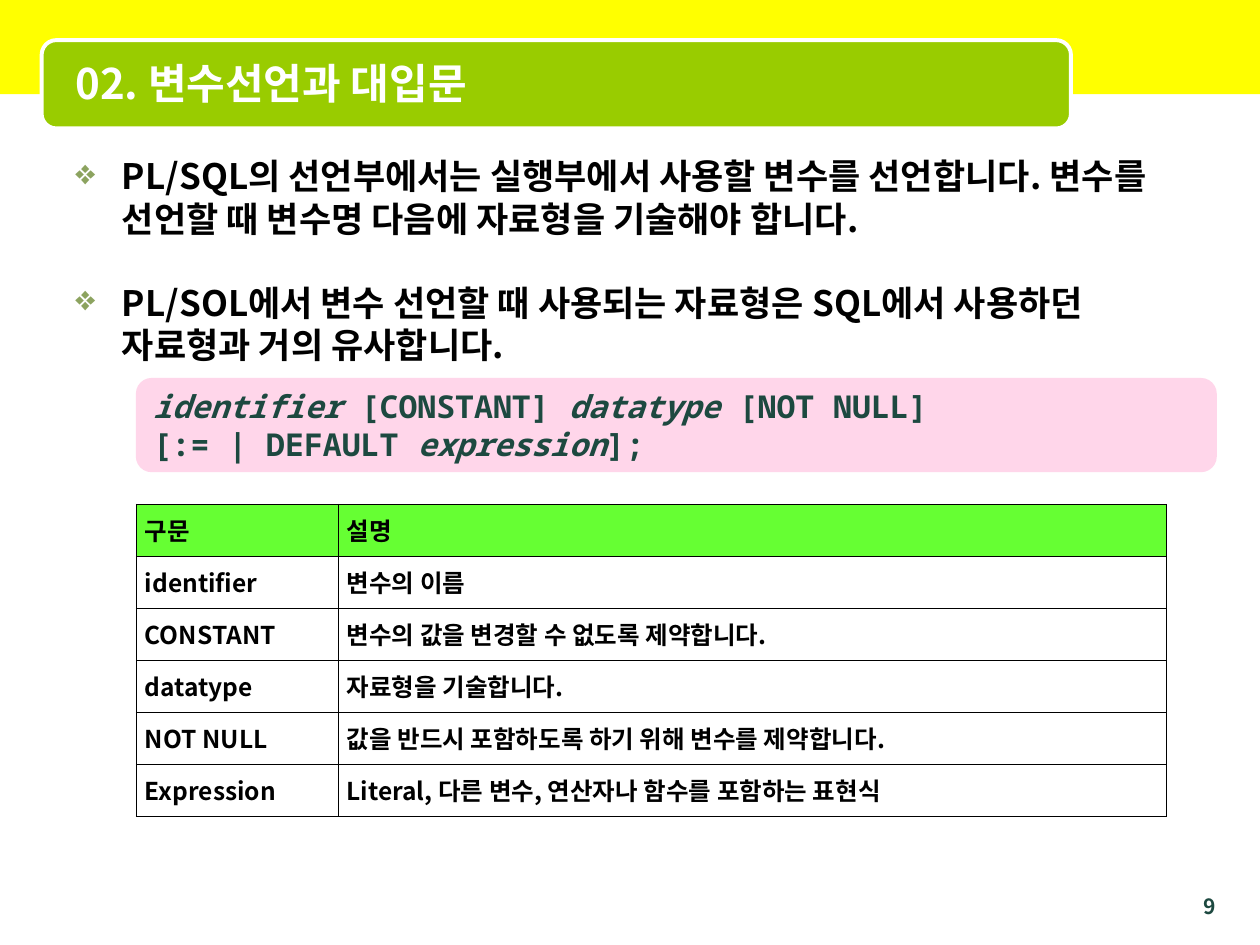
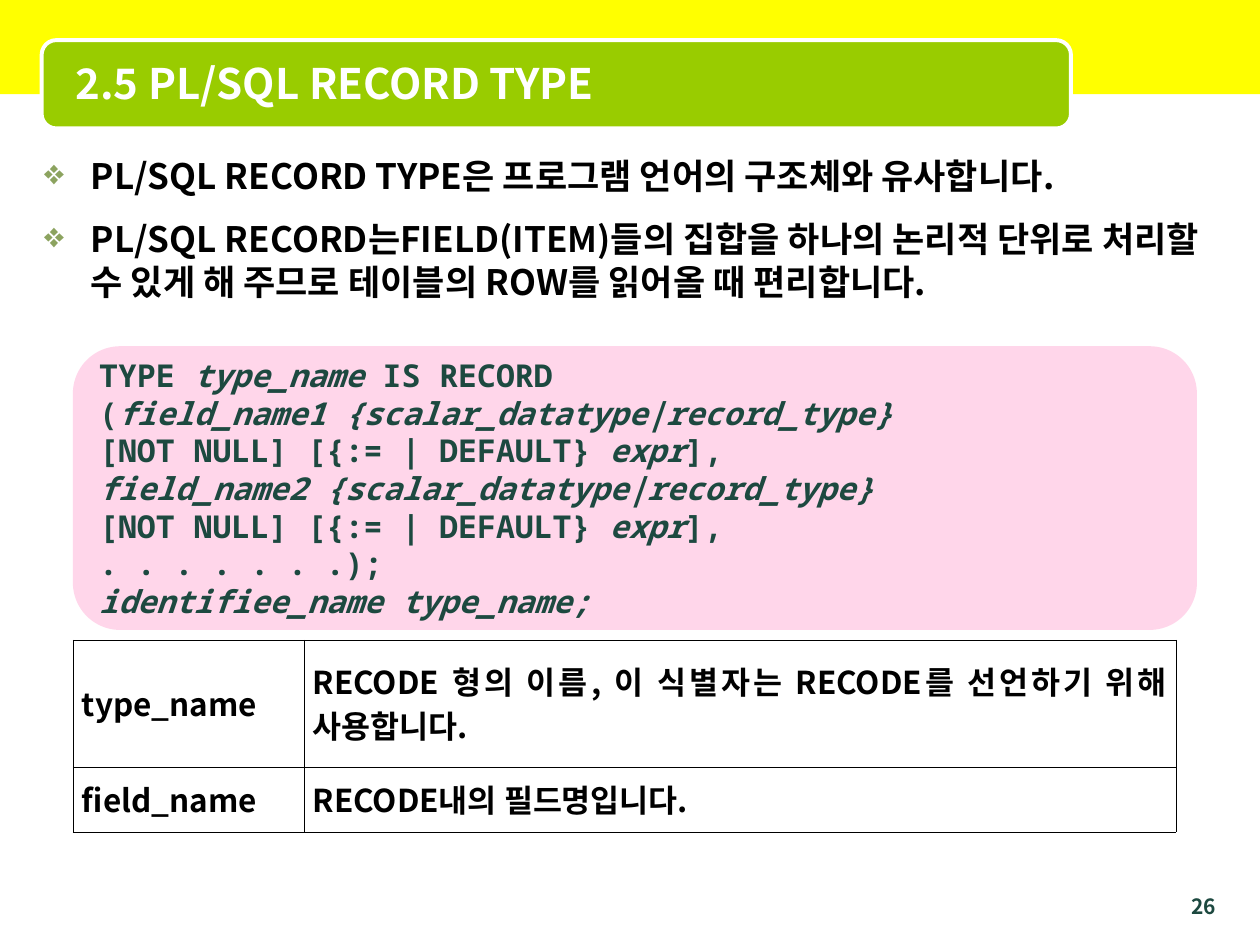
from lxml import etree
from pptx import Presentation
from pptx.dml.color import RGBColor
from pptx.enum.shapes import MSO_SHAPE
from pptx.enum.text import MSO_ANCHOR, PP_ALIGN
from pptx.oxml.ns import qn
from pptx.util import Cm, Pt

RECT, ROUND = MSO_SHAPE.RECTANGLE, MSO_SHAPE.ROUNDED_RECTANGLE
TOP, MIDDLE = MSO_ANCHOR.TOP, MSO_ANCHOR.MIDDLE
LEFT, RIGHT, JUSTIFY = PP_ALIGN.LEFT, PP_ALIGN.RIGHT, PP_ALIGN.JUSTIFY

SANS, MONO = "Noto Sans CJK KR", "Noto Sans Mono"
COLORS = {
    "band": "FFFF00",
    "panel": "99CC00",
    "white": "FFFFFF",
    "black": "000000",
    "dark": "1D4940",
    "bullet": "8CA35F",
    "code": "FF99CC",
    "header": "66FF33",
}


def rgb(name):
    return RGBColor.from_string(COLORS[name])


def add_run(p, text, size, color, font=SANS, italic=False):
    r = p.add_run()
    r.text = text
    r.font.size, r.font.name = Pt(size), font
    r.font.bold, r.font.italic = True, italic
    r.font.color.rgb = rgb(color)
    # Korean text takes its face from the East Asian font
    r.font._element.find(qn("a:latin")).addnext(
        etree.Element(qn("a:ea"), typeface=font))


def add_box(s, kind, x, y, w, h, fill, line=None):
    sp = s.shapes.add_shape(kind, Cm(x), Cm(y), Cm(w), Cm(h))
    sp.shadow.inherit = False
    sp.fill.solid()
    sp.fill.fore_color.rgb = rgb(fill)
    if line:
        sp.line.color.rgb = rgb(line)
        sp.line.width = Pt(2.25)
    else:
        sp.line.fill.background()
    return sp


def add_text(s, x, y, w, h, anchor=TOP):
    tf = s.shapes.add_textbox(Cm(x), Cm(y), Cm(w), Cm(h)).text_frame
    tf.word_wrap = True
    tf.vertical_anchor = anchor
    return tf


def paragraphs(tf, items):
    """Pair each item with a paragraph, starting with the one present."""
    for i, item in enumerate(items):
        yield (tf.add_paragraph() if i else tf.paragraphs[0]), item


def add_frame(prs, title, number):
    """Add a slide with the band, title panel, page number and title."""
    s = prs.slides.add_slide(prs.slide_layouts[6])
    add_box(s, RECT, 0, 0, 25.4, 1.9, "band")
    add_box(s, ROUND, 0.84, 0.81, 20.75, 1.78, "panel", "white")

    p = add_text(s, 23.5, 17.88, 1.27, 0.53).paragraphs[0]
    p.alignment = RIGHT
    add_run(p, str(number), 12, "dark")

    p = add_text(s, 1.27, 0.89, 20.12, 1.57, MIDDLE).paragraphs[0]
    add_run(p, title, 24, "white")
    return s


def add_bullets(s, x, w, gap, lines):
    tf = add_text(s, x, 3, w, 15.6)
    for p, line in paragraphs(tf, lines):
        p.space_before, p.line_spacing = Pt(gap), Pt(24)
        pPr = p._p.get_or_add_pPr()
        pPr.set("marL", str(Cm(0.94)))
        pPr.set("indent", str(-Cm(0.94)))
        color = etree.SubElement(pPr, qn("a:buClr"))
        etree.SubElement(color, qn("a:srgbClr"), val=COLORS["bullet"])
        etree.SubElement(pPr, qn("a:buChar"), char="❖")
        add_run(p, line, 20, "black")


def add_code(s, x, y, w, h, lines):
    """Add a syntax box; words between asterisks are italic."""
    sp = add_box(s, ROUND, x, y, w, h, "code")
    clr = sp._element.spPr.find(qn("a:solidFill")).find(qn("a:srgbClr"))
    etree.SubElement(clr, qn("a:alpha"), val="40000")
    tf = sp.text_frame
    tf.word_wrap = True
    tf.vertical_anchor = MIDDLE
    for p, line in paragraphs(tf, lines):
        p.alignment, p.line_spacing = LEFT, Pt(21.5)
        for i, part in enumerate(line.split("*")):
            if part:
                add_run(p, part, 18, "dark", MONO, italic=i % 2 == 1)


def set_borders(cell):
    tcPr = cell._tc.get_or_add_tcPr()
    for i, side in enumerate(("lnL", "lnR", "lnT", "lnB")):
        ln = etree.Element(qn("a:" + side), w=str(Pt(0.11)))
        fill = etree.SubElement(ln, qn("a:solidFill"))
        etree.SubElement(fill, qn("a:srgbClr"), val=COLORS["black"])
        tcPr.insert(i, ln)


def add_grid(s, x, y, widths, heights, rows, size, header=False):
    table = s.shapes.add_table(len(rows), len(widths), Cm(x), Cm(y),
                               Cm(sum(widths)), Cm(sum(heights))).table
    table.first_row = table.horz_banding = False
    for column, w in zip(table.columns, widths):
        column.width = Cm(w)
    for i, (row, h) in enumerate(zip(rows, heights)):
        table.rows[i].height = Cm(h)
        for j, text in enumerate(row):
            cell = table.cell(i, j)
            cell.vertical_anchor = MIDDLE
            cell.margin_left = cell.margin_right = Cm(0.18)
            if header and i == 0:
                cell.fill.solid()
                cell.fill.fore_color.rgb = rgb("header")
            else:
                cell.fill.background()
            set_borders(cell)
            p = cell.text_frame.paragraphs[0]
            p.alignment, p.line_spacing = JUSTIFY, 0.96
            add_run(p, text, size, "black")


def variables_slide(prs):
    s = add_frame(prs, "02. 변수선언과 대입문", 9)
    add_bullets(s, 1.27, 22.86, 24, [
        "PL/SQL의 선언부에서는 실행부에서 사용할 변수를 선언합니다. "
        "변수를 선언할 때 변수명 다음에 자료형을 기술해야 합니다.",
        "PL/SOL에서 변수 선언할 때 사용되는 자료형은 SQL에서 사용하던 "
        "자료형과 거의 유사합니다.",
    ])
    add_code(s, 2.74, 7.62, 21.79, 1.9, [
        "*identifier *[CONSTANT] *datatype *[NOT NULL]",
        "[:= | DEFAULT *expression*];",
    ])
    rows = [
        ("구문", "설명"),
        ("identifier", "변수의 이름"),
        ("CONSTANT", "변수의 값을 변경할 수 없도록 제약합니다."),
        ("datatype", "자료형을 기술합니다."),
        ("NOT NULL", "값을 반드시 포함하도록 하기 위해 변수를 제약합니다."),
        ("Expression", "Literal, 다른 변수, 연산자나 함수를 포함하는 표현식"),
    ]
    add_grid(s, 2.74, 10.16, [4.07, 16.69], [1.05] * len(rows), rows, 14,
             header=True)


def record_slide(prs):
    s = add_frame(prs, "2.5 PL/SQL RECORD TYPE", 26)
    add_bullets(s, 0.64, 23.93, 12, [
        "PL/SQL RECORD TYPE은 프로그램 언어의 구조체와 유사합니다.",
        "PL/SQL RECORD는FIELD(ITEM)들의 집합을 하나의 논리적 단위로 "
        "처리할 수 있게 해 주므로 테이블의 ROW를 읽어올 때 편리합니다.",
    ])
    field_types = "{scalar_datatype|record_type}*"
    default = "[NOT NULL] [{:= | DEFAULT} *expr*],"
    add_code(s, 1.47, 6.98, 22.66, 5.72, [
        "TYPE *type_name* IS RECORD",
        "(*field_name1 " + field_types,
        default,
        "*field_name2 " + field_types,
        default,
        ". . . . . . .);",
        "*identifiee_name type_name;*",
    ])
    add_grid(s, 1.47, 12.9, [4.65, 17.58], [2.56, 1.31], [
        ("type_name",
         "RECODE 형의 이름, 이 식별자는 RECODE를 선언하기 위해 사용합니다."),
        ("field_name", "RECODE내의 필드명입니다."),
    ], 18)


def main():
    prs = Presentation()
    prs.slide_width, prs.slide_height = Cm(25.4), Cm(19.05)
    variables_slide(prs)
    record_slide(prs)
    prs.save("out.pptx")


if __name__ == "__main__":
    main()
